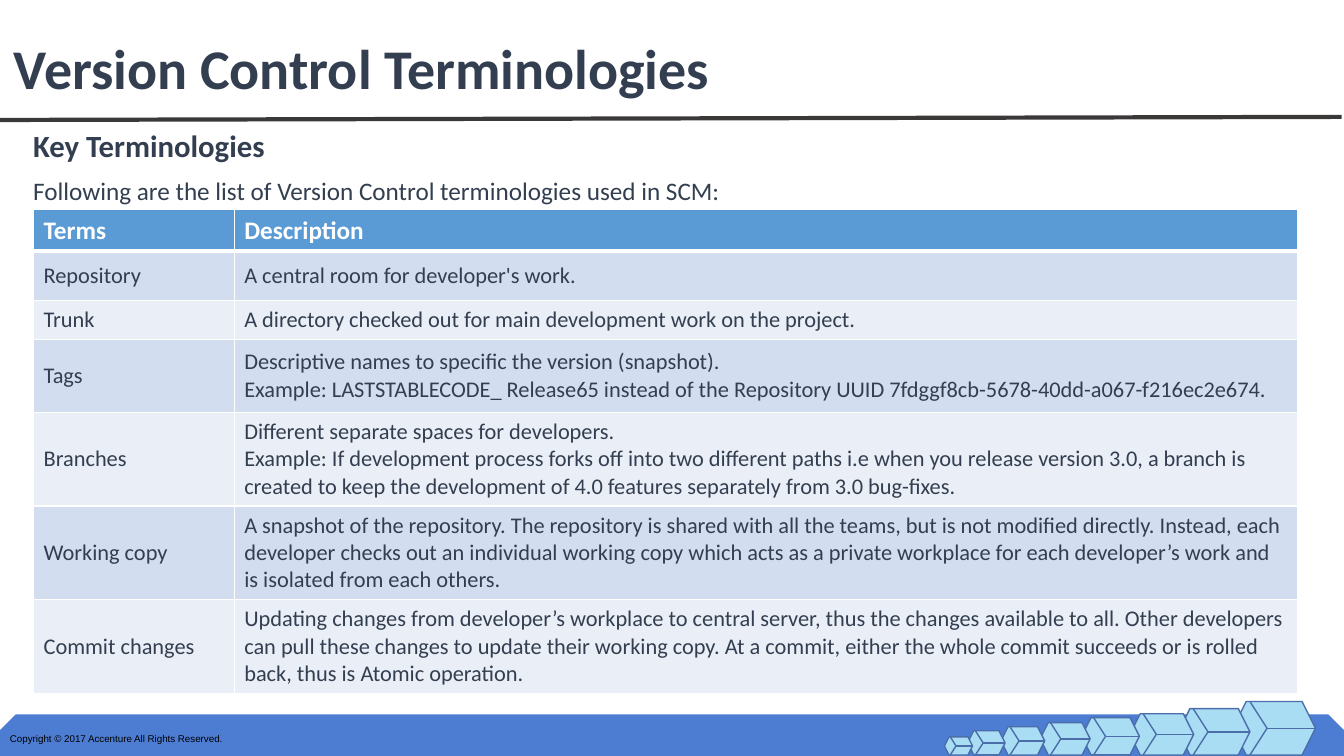
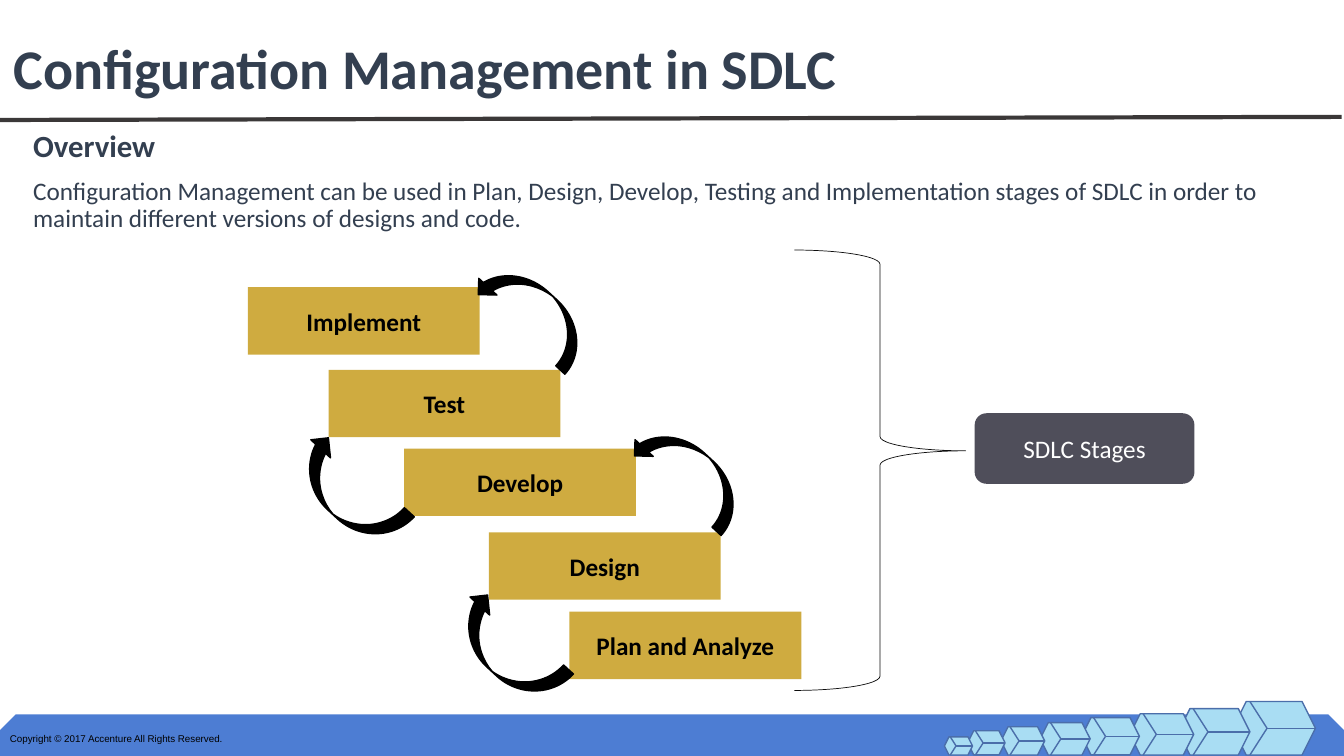
"""Build two slides on version control and configuration management."""
import pptx
import pptx.dml.color
import pptx.enum.shapes
import pptx.enum.text
import pptx.oxml
import pptx.oxml.ns
import pptx.util
from lxml import etree

Pt = pptx.util.Pt
SHAPE = pptx.enum.shapes.MSO_SHAPE
ANCHOR = pptx.enum.text.MSO_ANCHOR
ALIGN = pptx.enum.text.PP_ALIGN
qn = pptx.oxml.ns.qn

NAVY, WHITE, BLACK = "333F50", "FFFFFF", "000000"
BAND, HEX_FILL, HEX_LINE, RULE = "4D7DD3", "A9DDF3", "4B6EAA", "3B3838"
HEADER, ROW_FILLS = "5B9BD5", ("D2DEEF", "EAEFF7")
GOLD, SLATE, BRACE = "BF9000", "4F4E5A", "0D0D0D"

TITLE = {"name": "Calibri", "size": Pt(40), "bold": True, "color": NAVY}
SUBTITLE = {**TITLE, "size": Pt(22)}
BODY = {**TITLE, "size": Pt(18), "bold": False}
COPYRIGHT = {"name": "Arial", "size": Pt(7), "bold": False, "color": BLACK}
TABLE_HEAD = {**BODY, "bold": True, "color": WHITE}
TABLE_BODY = {**BODY, "size": Pt(16)}
STEP = {**BODY, "bold": True, "color": BLACK}
LABEL = {**BODY, "color": WHITE}

CHAIN_BOTTOM = 539.3
CHAIN = [(880.6, 501.1), (841.7, 506.2), (807.1, 509.8), (772.6, 512.6),
         (743, 516.2), (715, 519.1), (691.2, 522), (674.6, 526.3)]

TERMS = [
    ("Terms", "Description"),
    ("Repository", "A central room for developer's work."),
    ("Trunk", "A directory checked out for main development work on the project."),
    ("Tags", "Descriptive names to specific the version (snapshot).\n"
     "Example: LASTSTABLECODE_ Release65 instead of the Repository UUID "
     "7fdggf8cb-5678-40dd-a067-f216ec2e674."),
    ("Branches", "Different separate spaces for developers.\n"
     "Example: If development process forks off into two different paths i.e when you "
     "release version 3.0, a branch is created to keep the development of 4.0 features "
     "separately from 3.0 bug-fixes."),
    ("Working copy", "A snapshot of the repository. The repository is shared with all the "
     "teams, but is not modified directly. Instead, each developer checks out an individual "
     "working copy which acts as a private workplace for each developer’s work and is "
     "isolated from each others."),
    ("Commit changes", "Updating changes from developer’s workplace to central server, thus "
     "the changes available to all. Other developers can pull these changes to update their "
     "working copy. At a commit, either the whole commit succeeds or is rolled back, thus is "
     "Atomic operation."),
]
COL_WIDTHS = (143.3, 759.6)
ROW_HEIGHTS = (29.5, 35.3, 28.1, 51.8, 67, 67, 67)

STEPS = [("Implement", 177.1, 205.2), ("Test", 234.7, 264.2), ("Develop", 288.7, 320.4),
         ("Design", 349.2, 380.2), ("Plan and Analyze", 406.8, 437)]
ARROWS = [(343.4, 417.6, 38.2, False), (475.2, 291.6, 35.3, True),
          (229.7, 305.3, 38.2, False), (363.6, 176.4, 35.3, True)]


def rgb(value):
    """Turn a hex string into a colour."""
    return pptx.dml.color.RGBColor.from_string(value)


def write(tf, text, fmt, **para):
    """Write one paragraph per line of text in the given format."""
    for i, line in enumerate(text.split("\n")):
        p = tf.paragraphs[0] if i == 0 else tf.add_paragraph()
        for key, value in para.items():
            setattr(p, key, value)
        r = p.add_run()
        r.text = line
        for key, value in fmt.items():
            if key == "color":
                r.font.color.rgb = rgb(value)
            else:
                setattr(r.font, key, value)


def add_text(s, box, text, fmt, wrap=True, **para):
    """Add a text box."""
    tf = s.shapes.add_textbox(*map(Pt, box)).text_frame
    tf.word_wrap = wrap
    write(tf, text, fmt, **para)


def add_shape(s, kind, box, fill=None, line=None, width=1, text="", fmt=None):
    """Add a preset shape with optional fill, line and centred text."""
    sp = s.shapes.add_shape(kind, *map(Pt, box))
    sp.shadow.inherit = False
    if fill:
        sp.fill.solid()
        sp.fill.fore_color.rgb = rgb(fill)
    else:
        sp.fill.background()
    if line:
        sp.line.color.rgb = rgb(line)
        sp.line.width = Pt(width)
    else:
        sp.line.fill.background()
    if text:
        sp.text_frame.vertical_anchor = ANCHOR.MIDDLE
        sp.text_frame.word_wrap = True
        write(sp.text_frame, text, fmt, alignment=ALIGN.CENTER)
    return sp


def add_line(s, ends, color, width):
    """Add a straight line without a shadow."""
    cx = s.shapes.add_connector(pptx.enum.shapes.MSO_CONNECTOR.STRAIGHT, *map(Pt, ends))
    cx.line.color.rgb = rgb(color)
    cx.line.width = Pt(width)
    etree.SubElement(cx._element.spPr, qn("a:effectLst"))


def add_block(s, left, top):
    """Add one hexagonal block of the footer chain."""
    h = CHAIN_BOTTOM - top
    right, mid = left + 1.545 * h, top + h / 2
    edge, corner = left + 0.32 * h, left + 0.64 * h
    add_shape(s, SHAPE.HEXAGON, (left, top, right - left, h), HEX_FILL, HEX_LINE)
    for x, y in ((right, mid), (edge, top), (edge, CHAIN_BOTTOM)):
        add_line(s, (x, y, corner, mid), HEX_LINE, 1)


def add_slide(prs, title, subtitle, body):
    """Add a slide with the shared footer, rule and headings."""
    s = prs.slides.add_slide(prs.slide_layouts[6])
    band = add_shape(s, SHAPE.SNIP_2_SAME_RECTANGLE, (0, 510.2, 960, 30), BAND)
    band.adjustments[0] = 0.38
    for left, top in CHAIN:
        add_block(s, left, top)
    add_line(s, (0, 85.7, 958.3, 83.5), RULE, 3)
    add_text(s, (0, 519.8, 171.4, 15.8), "Copyright © 2017 Accenture All Rights Reserved.",
             COPYRIGHT, wrap=False)
    add_text(s, (16.6, 90, 893.5, 31), subtitle, SUBTITLE, line_spacing=0.9)
    add_text(s, (2.9, 26, 957, 44.6), title, TITLE, line_spacing=0.9)
    add_text(s, (16.6, 123.8, 892.8, 376.6), body, BODY, line_spacing=0.9)
    return s


def style_cell(cell, fill, bottom):
    """Give a cell white borders and a fill."""
    tcPr = cell._tc.get_or_add_tcPr()
    for side, width in (("L", 1), ("R", 1), ("T", 1), ("B", bottom)):
        ln = etree.SubElement(tcPr, qn("a:ln" + side), w=str(Pt(width)))
        solid = etree.SubElement(ln, qn("a:solidFill"))
        etree.SubElement(solid, qn("a:srgbClr"), val=WHITE)
    cell.fill.solid()
    cell.fill.fore_color.rgb = rgb(fill)
    cell.vertical_anchor = ANCHOR.MIDDLE


def add_terms(s):
    """Add the table of terms."""
    box = (24, 149.8, sum(COL_WIDTHS), sum(ROW_HEIGHTS))
    table = s.shapes.add_table(len(TERMS), len(COL_WIDTHS), *map(Pt, box)).table
    table.horz_banding = False
    for col, width in zip(table.columns, COL_WIDTHS):
        col.width = Pt(width)
    for i, texts in enumerate(TERMS):
        table.rows[i].height = Pt(ROW_HEIGHTS[i])
        fill = ROW_FILLS[(i - 1) % 2] if i else HEADER
        for j, text in enumerate(texts):
            cell = table.cell(i, j)
            style_cell(cell, fill, 1 if i else 3)
            write(cell.text_frame, text, TABLE_BODY if i else TABLE_HEAD)


def add_step(s, text, left, top):
    """Add a translucent box for one stage."""
    sp = add_shape(s, SHAPE.RECTANGLE, (left, top, 165.6, 48.2), GOLD, text=text, fmt=STEP)
    color = sp._element.spPr.find(qn("a:solidFill")).find(qn("a:srgbClr"))
    etree.SubElement(color, qn("a:alpha"), val="75000")


def add_arrow(s, left, top, width, flip):
    """Add a curved arrow between two stages."""
    sp = add_shape(s, SHAPE.CURVED_LEFT_ARROW, (left, top, width, 92.9), BLACK, BLACK)
    sp.rotation = 132.6
    if flip:
        sp._element.spPr.find(qn("a:xfrm")).set("flipH", "1")


def add_stages(s):
    """Add the stages, their arrows and the brace with its label."""
    for step in STEPS:
        add_step(s, *step)
    for arrow in ARROWS:
        add_arrow(s, *arrow)
    brace = add_shape(s, SHAPE.RIGHT_BRACE, (567.4, 178.6, 122.4, 314.6), line=BRACE, width=0.5)
    brace.adjustments[1] = 0.456
    add_shape(s, SHAPE.ROUNDED_RECTANGLE, (696.2, 295.2, 157, 50.4), SLATE,
              text="SDLC Stages", fmt=LABEL)


def main():
    """Build and save the presentation."""
    prs = pptx.Presentation()
    prs.slide_width, prs.slide_height = Pt(960), Pt(540)
    add_terms(add_slide(
        prs, "Version Control Terminologies", "Key Terminologies",
        "Following are the list of Version Control terminologies used in SCM:"))
    add_stages(add_slide(
        prs, "Configuration Management in SDLC", "Overview",
        "Configuration Management can be used in Plan, Design, Develop, Testing and "
        "Implementation stages of SDLC in order to maintain different versions of "
        "designs and code."))
    prs.save("out.pptx")


if __name__ == "__main__":
    main()
